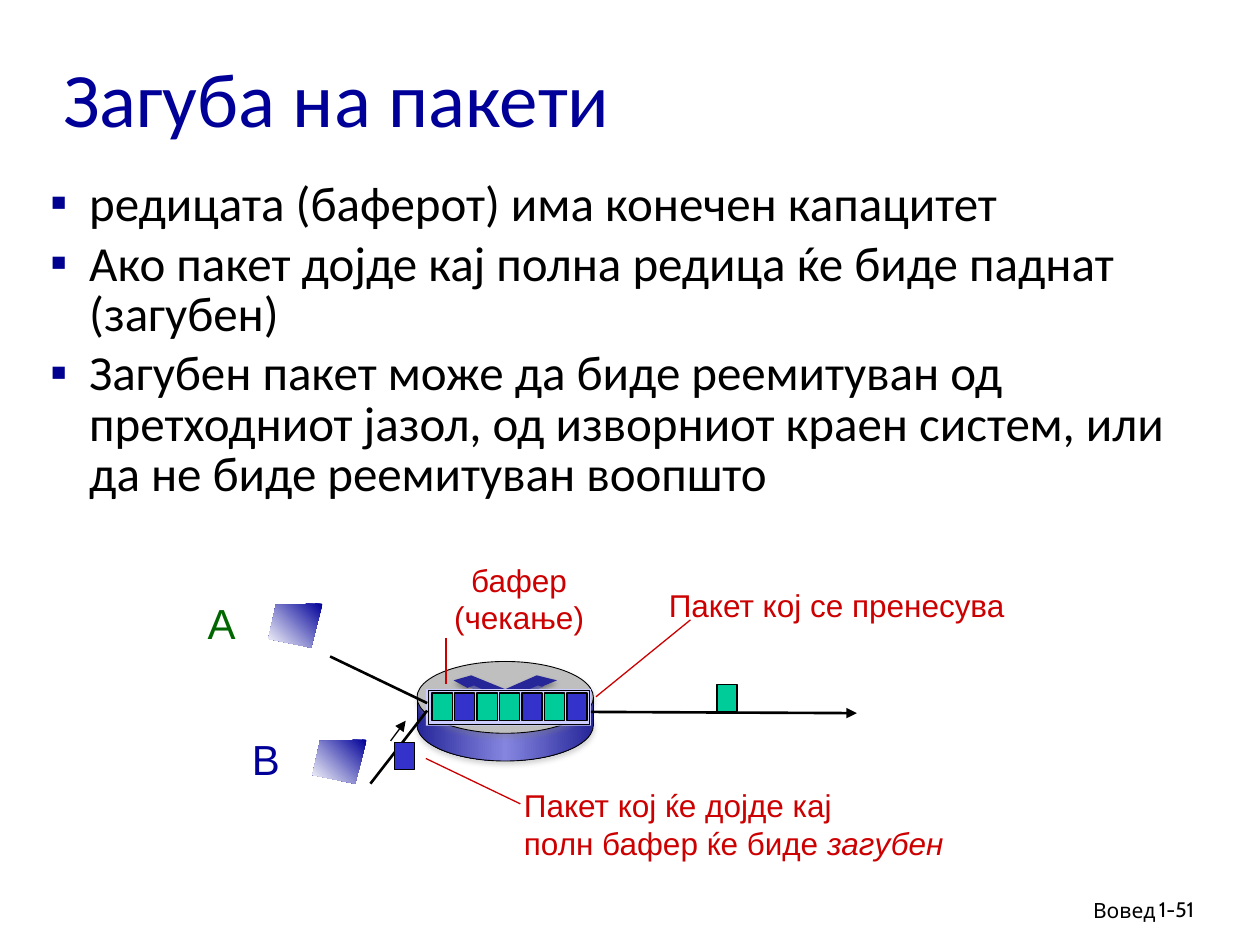
from pptx import Presentation
from pptx.dml.color import RGBColor
from pptx.enum.shapes import MSO_CONNECTOR, MSO_SHAPE
from pptx.enum.text import MSO_ANCHOR, MSO_AUTO_SIZE, PP_ALIGN
from pptx.oxml import parse_xml
from pptx.oxml.ns import nsdecls
from pptx.util import Inches, Pt
from lxml.etree import SubElement
from pptx.oxml.ns import qn

BLACK = RGBColor(0x00, 0x00, 0x00)
WHITE = RGBColor(0xFF, 0xFF, 0xFF)
NAVY = RGBColor(0x00, 0x00, 0x99)
BULLET_NAVY = RGBColor(0x00, 0x00, 0x90)
RED = RGBColor(0xCC, 0x00, 0x00)
DARK_GREEN = RGBColor(0x00, 0x66, 0x00)
PACKET_GREEN = RGBColor(0x00, 0xCC, 0x99)
PACKET_BLUE = RGBColor(0x33, 0x33, 0xCC)
BUFFER_LILAC = RGBColor(0xCC, 0xCC, 0xFF)
ROUTER_DARK = RGBColor(0x26, 0x26, 0x99)
ROUTER_LIGHT = RGBColor(0x85, 0x85, 0xE0)
ROUTER_GREY = RGBColor(0xBF, 0xBF, 0xBF)
SHADOW_GREY = RGBColor(0x80, 0x80, 0x80)

BULLETS = [
    "редицата (баферот) има конечен капацитет",
    "Ако пакет дојде кај полна редица ќе биде паднат (загубен)",
    "Загубен пакет може да биде реемитуван од претходниот јазол, "
    "од изворниот краен систем, или да не биде реемитуван воопшто",
]
QUEUE = [PACKET_GREEN, PACKET_BLUE, PACKET_GREEN, PACKET_GREEN,
         PACKET_BLUE, PACKET_GREEN, PACKET_BLUE]
ARROW_SHADE = [(4.01, 5.59), (3.74, 5.72), (3.67, 5.7), (3.88, 5.61), (3.88, 5.53),
               (3.72, 5.45), (3.77, 5.44), (4.01, 5.54), (4.25, 5.43), (4.32, 5.45),
               (4.14, 5.52), (4.18, 5.63), (4.35, 5.7), (4.29, 5.71)]
ROUTER_ARROWS = [
    [(3.6, 5.4), (3.74, 5.36), (4.01, 5.47), (4.26, 5.36), (4.42, 5.4), (4.3, 5.45),
     (4.27, 5.44), (4.01, 5.55), (3.76, 5.44), (3.71, 5.46)],
    [(4.14, 5.52), (4.44, 5.66), (4.33, 5.7), (4.14, 5.62)],
    [(3.88, 5.53), (3.88, 5.61), (3.69, 5.7), (3.58, 5.66)],
]
HOST_SCREEN = [(0.43, 0), (0.06, 0.01), (0, 0.28), (0.34, 0.35)]


def style_shape(shape, fill, line, width):
    shape.shadow.inherit = False
    if fill is None:
        shape.fill.background()
    else:
        shape.fill.solid()
        shape.fill.fore_color.rgb = fill
    if line is None:
        shape.line.fill.background()
    else:
        shape.line.color.rgb = line
        shape.line.width = Pt(width)
    return shape


def add_box(slide, kind, left, top, width, height, fill=None, line=None, weight=0.75):
    shape = slide.shapes.add_shape(kind, Inches(left), Inches(top), Inches(width), Inches(height))
    return style_shape(shape, fill, line, weight)


def add_polygon(slide, points, fill):
    corners = [(Inches(x), Inches(y)) for x, y in points]
    builder = slide.shapes.build_freeform(*corners[0])
    builder.add_line_segments(corners[1:], close=True)
    return style_shape(builder.convert_to_shape(), fill, None, 0)


def add_packet(slide, left, top, color):
    return add_box(slide, MSO_SHAPE.RECTANGLE, left, top, 0.16, 0.22, color, BLACK)


def add_line(slide, start, end, color=BLACK, width=0.75, arrow=False):
    line = slide.shapes.add_connector(MSO_CONNECTOR.STRAIGHT, *map(Inches, start + end))
    line.line.color.rgb = color
    line.line.width = Pt(width)
    if arrow:
        SubElement(line.line._get_or_add_ln(), qn("a:tailEnd"), type="triangle")
    SubElement(line._element.spPr, qn("a:effectLst"))
    return line


def apply_gradient(shape, colors, angle):
    shape.fill.gradient()
    shape.fill.gradient_angle = angle
    stops = shape._element.spPr.find(qn("a:gradFill")).find(qn("a:gsLst"))
    for stop in list(stops):
        stops.remove(stop)
    for index, color in enumerate(colors):
        position = 100000 * index // (len(colors) - 1)
        stop = SubElement(stops, qn("a:gs"), pos=str(position))
        SubElement(stop, qn("a:srgbClr"), val=str(color))


def cast_shadow(shape, color):
    effects = shape._element.spPr.find(qn("a:effectLst"))
    effects.append(parse_xml(
        f'<a:outerShdw {nsdecls("a")} blurRad="{Pt(3.1)}" dist="{Pt(1.8)}" dir="5400000" '
        f'rotWithShape="0"><a:srgbClr val="{color}"><a:alpha val="35000"/></a:srgbClr>'
        '</a:outerShdw>'))


def format_runs(paragraph, font, size, color):
    for run in paragraph.runs:
        run.font.name = font
        run.font.size = Pt(size)
        run.font.color.rgb = color


def add_text(slide, left, top, width, height, lines, size, color,
             font="Arial", align=PP_ALIGN.LEFT, wrap=False):
    box = slide.shapes.add_textbox(Inches(left), Inches(top), Inches(width), Inches(height))
    frame = box.text_frame
    frame.word_wrap = wrap
    frame.text = "\n".join(lines)
    for paragraph in frame.paragraphs:
        paragraph.alignment = align
        format_runs(paragraph, font, size, color)
    return frame


def add_title(slide):
    title = slide.shapes.title
    title.left, title.top, title.width, title.height = map(Inches, (0.4, 0.14, 8.5, 1.25))
    frame = title.text_frame
    frame.text = "Загуба на пакети"
    frame.auto_size = MSO_AUTO_SIZE.NONE
    frame.vertical_anchor = MSO_ANCHOR.MIDDLE
    frame.paragraphs[0].alignment = PP_ALIGN.LEFT
    format_runs(frame.paragraphs[0], "Calibri", 44, NAVY)


def add_bullets(slide):
    frame = add_text(slide, 0.3, 1.39, 9.18, 5.08, BULLETS, 28, BLACK, "Calibri", wrap=True)
    for index, paragraph in enumerate(frame.paragraphs):
        paragraph.line_spacing = 0.85
        paragraph.space_before = Pt(5.6 if index else 0)
        properties = paragraph._p.get_or_add_pPr()
        properties.set("marL", str(Inches(0.31)))
        properties.set("indent", str(-Inches(0.31)))
        bullet_color = SubElement(properties, qn("a:buClr"))
        SubElement(bullet_color, qn("a:srgbClr"), val=str(BULLET_NAVY))
        SubElement(properties, qn("a:buFont"), typeface="Arial")
        SubElement(properties, qn("a:buChar"), char="▪")


def add_router(slide):
    sides = [ROUTER_DARK, ROUTER_LIGHT, ROUTER_DARK]
    base = add_box(slide, MSO_SHAPE.OVAL, 3.31, 5.47, 1.4, 0.57, ROUTER_DARK, BLACK, 0.5)
    wall = add_box(slide, MSO_SHAPE.RECTANGLE, 3.31, 5.55, 1.4, 0.21, ROUTER_DARK)
    for part in (base, wall):
        apply_gradient(part, sides, 0)
    lid = add_box(slide, MSO_SHAPE.OVAL, 3.31, 5.25, 1.4, 0.57, ROUTER_GREY, BLACK, 0.5)
    for part in (base, lid):
        cast_shadow(part, SHADOW_GREY)
    add_polygon(slide, ARROW_SHADE, ROUTER_LIGHT)
    for points in ROUTER_ARROWS:
        cast_shadow(add_polygon(slide, points, ROUTER_DARK), BLACK)
    for x in (3.31, 4.71):
        add_line(slide, (x, 5.76), (x, 5.54), width=0.5)


def add_links(slide):
    add_line(slide, (2.62, 5.21), (3.39, 5.58), width=1.5)
    add_line(slide, (2.94, 6.22), (3.39, 5.64), width=1.5)
    add_line(slide, (4.69, 5.65), (6.8, 5.66), width=1.5, arrow=True)
    add_packet(slide, 5.69, 5.43, PACKET_GREEN)
    add_packet(slide, 3.13, 5.89, PACKET_BLUE)
    add_line(slide, (3.1, 5.88), (3.22, 5.72), arrow=True)


def add_buffer(slide):
    add_box(slide, MSO_SHAPE.RECTANGLE, 3.38, 5.47, 1.31, 0.29, BUFFER_LILAC)
    pitch = 1.07 / (len(QUEUE) - 1)
    for index, color in enumerate(QUEUE):
        add_packet(slide, 3.43 + index * pitch, 5.5, color)
    add_box(slide, MSO_SHAPE.RECTANGLE, 3.4, 5.48, 1.28, 0.27, line=BLACK)


def add_host(slide, left, top, name, color):
    screen = add_polygon(slide, [(left + x, top + y) for x, y in HOST_SCREEN], NAVY)
    apply_gradient(screen, [NAVY, WHITE], 225)
    add_text(slide, left - 0.58, top - 0.1, 0.42, 0.5, [name], 24, color)


def add_callouts(slide):
    add_text(slide, 5.21, 4.6, 2.89, 0.4, ["Пакет кој се пренесува"], 18, RED)
    add_line(slide, (5.48, 4.92), (4.73, 5.53), RED)
    lost = add_text(slide, 4.06, 6.19, 3.53, 0.71,
                    ["Пакет кој ќе дојде кај", "полн бафер ќе биде "], 18, RED)
    emphasis = lost.paragraphs[1].add_run()
    emphasis.text = "загубен"
    emphasis.font.italic = True
    format_runs(lost.paragraphs[1], "Arial", 18, RED)
    add_line(slide, (4.13, 6.38), (3.38, 6.02), RED)
    add_text(slide, 3.5, 4.4, 1.24, 0.71, ["бафер", "(чекање)"], 18, RED,
             align=PP_ALIGN.CENTER)
    add_line(slide, (3.54, 5.06), (3.54, 5.43), RED)


def add_footer(slide):
    add_text(slide, 6.1, 7.07, 3.17, 0.31, ["Вовед"], 12, BLACK, "Cabin", PP_ALIGN.RIGHT, True)
    add_text(slide, 9.1, 7.07, 0.74, 0.3, ["1-51"], 12, BLACK, "Cabin", wrap=True)


def main():
    deck = Presentation()
    deck.slide_width, deck.slide_height = Inches(10), Inches(7.5)
    slide = deck.slides.add_slide(deck.slide_layouts[5])
    add_title(slide)
    add_bullets(slide)
    add_router(slide)
    add_buffer(slide)
    add_links(slide)
    add_host(slide, 2.13, 4.79, "A", DARK_GREEN)
    add_host(slide, 2.48, 5.87, "B", NAVY)
    add_callouts(slide)
    add_footer(slide)
    deck.save("out.pptx")


if __name__ == "__main__":
    main()
